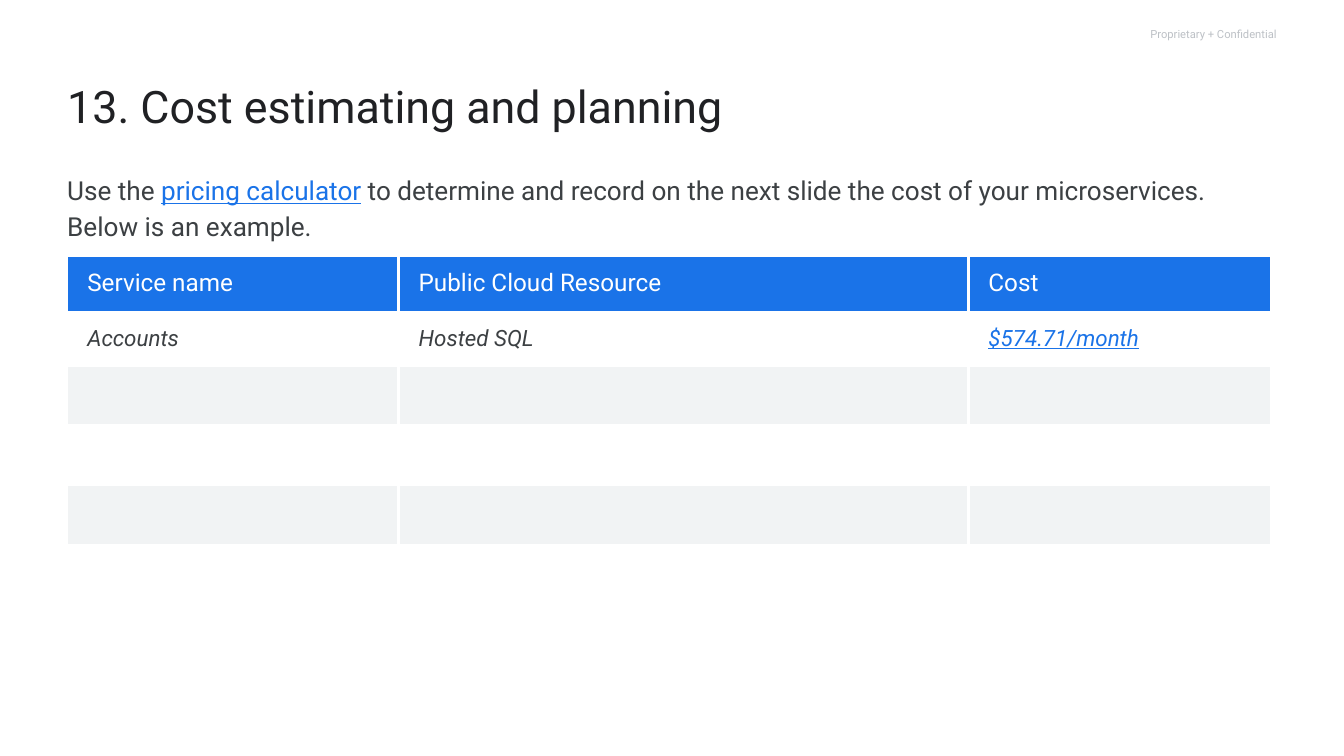
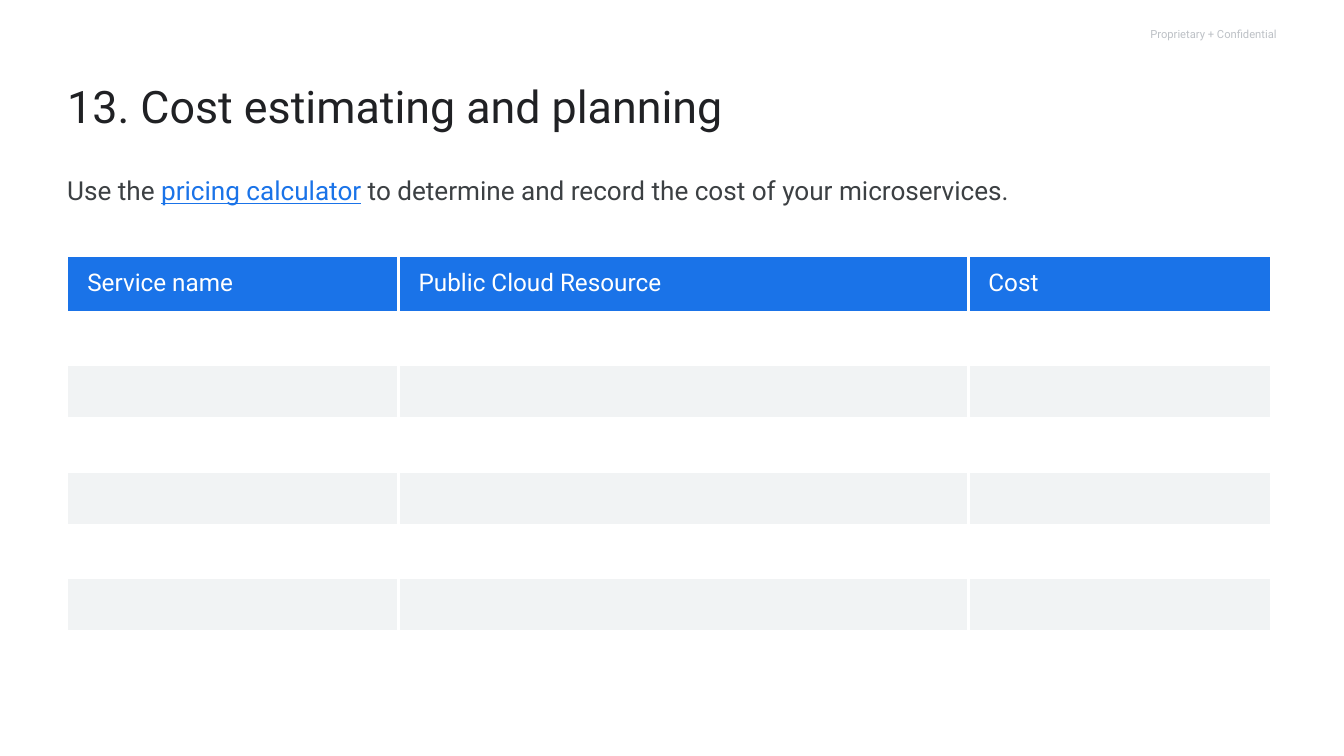
from dataclasses import dataclass

from lxml import etree
from pptx import Presentation
from pptx.dml.color import RGBColor
from pptx.enum.text import MSO_ANCHOR, MSO_AUTO_SIZE, PP_ALIGN
from pptx.oxml.ns import qn
from pptx.util import Pt

LEFT, RIGHT = PP_ALIGN.LEFT, PP_ALIGN.RIGHT
TOP, MIDDLE = MSO_ANCHOR.TOP, MSO_ANCHOR.MIDDLE
GROW = MSO_AUTO_SIZE.SHAPE_TO_FIT_TEXT


@dataclass(frozen=True)
class Theme:
    font: str = "Roboto"
    white: str = "FFFFFF"
    ink: str = "202124"
    text: str = "3C4043"
    blue: str = "1A73E8"
    band: str = "F1F3F4"
    muted: str = "BDC1C6"
    title_size: int = 48
    body_size: int = 28
    header_size: int = 26
    cell_size: int = 24
    notice_size: int = 12
    border: int = 3


T = Theme()
SLIDE_W, SLIDE_H = 1440, 810
NOTICE_BOX = (1064.9, 0, 303.1, 72.7)
TITLE_BOX = (72, 72.7, 1279.4, 157.7)
INTRO_BOX = (72, 182.2, 1229.8)
TABLE_ORIGIN = (72, 274.3)
COLUMNS = (355, 610.5, 324.7)
HEADER_H, ROW_H, TALL_ROW_H = 59.4, 57, 64
LINE_H = 36.5
HEADERS = ("Service name", "Public Cloud Resource", "Cost")


def add_run(p, text, size, color, italic=False, underline=False):
    r = p.add_run()
    r.text = text
    font = r.font
    font.name, font.size = T.font, Pt(size)
    font.color.rgb = RGBColor.from_string(color)
    if italic:
        font.italic = True
    if underline:
        font.underline = True


def add_text_box(s, box, anchor=TOP, align=LEFT, spacing=None, inset_right=0):
    """Add a wrapped text box; return its text frame and first paragraph."""
    tf = s.shapes.add_textbox(*map(Pt, box)).text_frame
    tf.word_wrap = True
    tf.vertical_anchor = anchor
    tf.margin_left = tf.margin_top = tf.margin_bottom = 0
    tf.margin_right = Pt(inset_right)
    p = tf.paragraphs[0]
    p.alignment = align
    if spacing:
        p.line_spacing = spacing
    return tf, p


def add_notice(s, box):
    _, p = add_text_box(s, box, MIDDLE, RIGHT)
    add_run(p, "Proprietary + Confidential", T.notice_size, T.muted)


def add_title(s, box, text):
    _, p = add_text_box(s, box, spacing=1.2, inset_right=14.4)
    add_run(p, text, T.title_size, T.ink)


def add_intro(s, box, task, lines):
    tf, p = add_text_box(s, (*box, lines * LINE_H), spacing=1.15)
    tf.auto_size = GROW
    p.space_after = Pt(16)
    add_run(p, "Use the ", T.body_size, T.text)
    add_run(p, "pricing calculator", T.body_size, T.blue, underline=True)
    add_run(p, " " + task, T.body_size, T.text)


def set_borders(cell):
    tc_pr = cell._tc.get_or_add_tcPr()
    for i, side in enumerate(("lnL", "lnR", "lnT", "lnB")):
        ln = etree.Element(qn("a:" + side), w=str(Pt(T.border)))
        fill = etree.SubElement(ln, qn("a:solidFill"))
        etree.SubElement(fill, qn("a:srgbClr"), val=T.white)
        tc_pr.insert(i, ln)


def style_cell(cell, fill):
    cell.margin_left = Pt(21.6)
    cell.margin_right = cell.margin_top = cell.margin_bottom = Pt(14.4)
    if fill:
        cell.fill.solid()
        cell.fill.fore_color.rgb = RGBColor.from_string(fill)
    else:
        cell.fill.background()
    set_borders(cell)


def add_cost_table(s, origin, row_heights, example):
    """Add a header row and banded rows; example fills the first body row."""
    heights = (HEADER_H, *row_heights)
    size = (sum(COLUMNS), sum(heights))
    table = s.shapes.add_table(len(heights), len(COLUMNS),
                               *map(Pt, origin + size)).table
    table.first_row = table.horz_banding = False
    for column, width in zip(table.columns, COLUMNS):
        column.width = Pt(width)
    for i, (row, height) in enumerate(zip(table.rows, heights)):
        row.height = Pt(height)
        fill = T.blue if i == 0 else T.band if i % 2 == 0 else None
        for cell in row.cells:
            style_cell(cell, fill)
    for j, text in enumerate(HEADERS):
        p = table.cell(0, j).text_frame.paragraphs[0]
        add_run(p, text, T.header_size, T.white)
    for j, text in enumerate(example):
        is_cost = HEADERS[j] == "Cost"
        p = table.cell(1, j).text_frame.paragraphs[0]
        add_run(p, text, T.cell_size, T.blue if is_cost else T.text,
                italic=True, underline=is_cost)


def add_cost_slide(prs, task, lines, row_heights, example=()):
    s = prs.slides.add_slide(prs.slide_layouts[6])
    add_notice(s, NOTICE_BOX)
    add_title(s, TITLE_BOX, "13. Cost estimating and planning")
    add_cost_table(s, TABLE_ORIGIN, row_heights, example)
    add_intro(s, INTRO_BOX, task, lines)


def main():
    prs = Presentation()
    prs.slide_width, prs.slide_height = Pt(SLIDE_W), Pt(SLIDE_H)
    add_cost_slide(
        prs,
        "to determine and record on the next slide the cost of your "
        "microservices. Below is an example.",
        2, [ROW_H] + [TALL_ROW_H] * 4,
        ("Accounts", "Hosted SQL", "$574.71/month"))
    add_cost_slide(
        prs, "to determine and record the cost of your microservices.",
        1, [ROW_H] * 6)
    prs.save("out.pptx")


if __name__ == "__main__":
    main()
